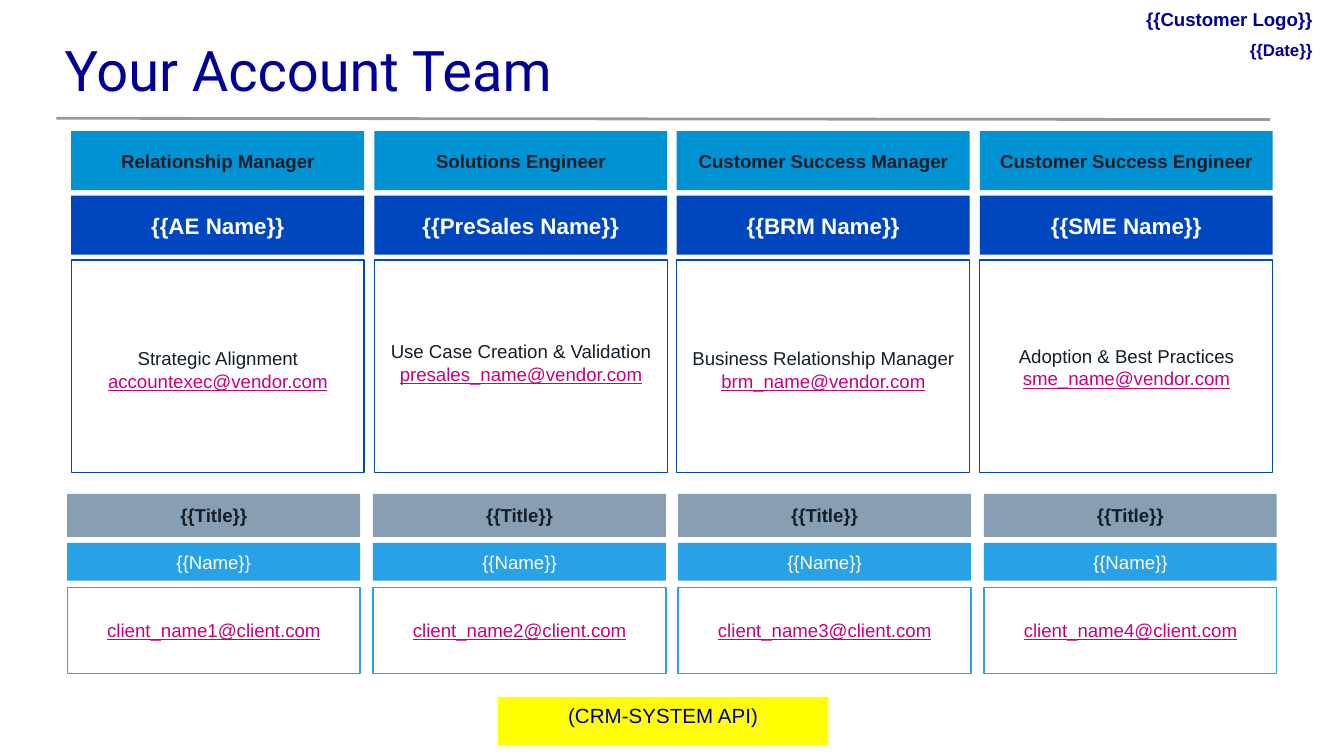
from dataclasses import dataclass

from pptx import Presentation
from pptx.dml.color import RGBColor
from pptx.enum.shapes import MSO_CONNECTOR, MSO_SHAPE
from pptx.enum.text import MSO_ANCHOR, MSO_AUTO_SIZE, PP_ALIGN
from pptx.oxml.ns import qn
from pptx.util import Emu, Pt

RECT = MSO_SHAPE.RECTANGLE
STRAIGHT = MSO_CONNECTOR.STRAIGHT
TOP, MIDDLE, BOTTOM = MSO_ANCHOR.TOP, MSO_ANCHOR.MIDDLE, MSO_ANCHOR.BOTTOM
LEFT, CENTER, RIGHT = PP_ALIGN.LEFT, PP_ALIGN.CENTER, PP_ALIGN.RIGHT
NO_FIT = MSO_AUTO_SIZE.NONE
EMU_PER_PX = 4572
CARD_W = 436


@dataclass(frozen=True)
class Theme:
    title_font: str = "Roboto"
    body_font: str = "Arial"
    navy: str = "000099"
    ink: str = "131E29"
    white: str = "FFFFFF"
    link: str = "C6007E"
    role: str = "0092D2"
    vendor: str = "0046BE"
    slate: str = "889EB3"
    client: str = "29A1E6"
    note: str = "FFFF00"
    rule: str = "999999"
    title_size: int = 30
    name_size: int = 12
    note_size: int = 11
    body_size: int = 10
    date_size: int = 9


T = Theme()

VENDOR_TEAM = [
    ("Relationship Manager", "{{AE Name}}", "Strategic Alignment",
     "accountexec@vendor.com", 120),
    ("Solutions Engineer", "{{PreSales Name}}", "Use Case Creation & Validation",
     "presales_name@vendor.com", 130),
    ("Customer Success Manager", "{{BRM Name}}", "Business Relationship Manager",
     "brm_name@vendor.com", 120),
    ("Customer Success Engineer", "{{SME Name}}", "Adoption & Best Practices",
     "sme_name@vendor.com", 123),
]
CLIENT_EMAILS = [f"client_name{i}@client.com" for i in range(1, 5)]


def px(n):
    return Emu(n * EMU_PER_PX)


def rgb(value):
    return RGBColor.from_string(value)


def set_attrs(obj, values):
    for name, value in values.items():
        setattr(obj, name, value)


def style(color, size=T.body_size, font=T.body_font, **extra):
    return {"color": color, "size": size, "name": font, **extra}


def write(sp, lines, align=CENTER, anchor=MIDDLE, insets=(20, 10, 20, 10), spacing=1.0):
    tf = sp.text_frame
    sides = ("margin_left", "margin_top", "margin_right", "margin_bottom")
    set_attrs(tf, {"word_wrap": True, "auto_size": NO_FIT, "vertical_anchor": anchor,
                   **dict(zip(sides, map(px, insets)))})
    for i, (text, fmt) in enumerate(lines):
        p = tf.add_paragraph() if i else tf.paragraphs[0]
        set_attrs(p, {"alignment": align, "line_spacing": spacing})
        r = p.add_run()
        r.text = text
        values = dict(fmt)
        r.font.color.rgb = rgb(values.pop("color"))
        values["size"] = Pt(values["size"])
        set_attrs(r.font, values)


def add_box(s, box, lines, fill=None, line=None, **layout):
    sp = s.shapes.add_shape(RECT, *map(px, box))
    sp.shadow.inherit = False
    if fill:
        sp.fill.solid()
        sp.fill.fore_color.rgb = rgb(fill)
    else:
        sp.fill.background()
    if line:
        sp.line.color.rgb = rgb(line)
        sp.line.width = Pt(0.75)
    else:
        sp.line.fill.background()
    write(sp, lines, **layout)


def add_label(s, box, text, size):
    sp = s.shapes.add_textbox(*map(px, box))
    write(sp, [(text, style(T.navy, size, bold=True))], align=RIGHT,
          insets=(8, 4, 8, 4), spacing=0.85)


def columns(box, items):
    x, y, w, h = box
    pitch = (w - CARD_W) / (len(items) - 1)
    return [(x + round(i * pitch), item) for i, item in enumerate(items)]


def add_header(s, box):
    x, y, w, h = box
    sp = s.shapes.title
    set_attrs(sp, dict(zip(("left", "top", "width", "height"), map(px, box))))
    write(sp, [("Your Account Team", style(T.navy, T.title_size, T.title_font))],
          align=LEFT, spacing=0.9)
    ends = (x + 8, y + h - 1, x + 1814, y + h + 1)
    rule = s.shapes.add_connector(STRAIGHT, *map(px, ends))
    rule.line.color.rgb = rgb(T.rule)
    rule.line.width = Pt(1.5)
    sp_pr = rule._element.spPr
    sp_pr.append(sp_pr.makeelement(qn("a:effectLst"), {}))


def add_corner(s, box):
    x, y, w, h = box
    add_label(s, (x, y, w, 52), "{{Customer Logo}}", T.body_size)
    add_label(s, (x + 64, y + h - 52, w - 64, 52), "{{Date}}", T.date_size)


def add_vendor_team(s, box):
    top, h = box[1], box[3]
    for x, (role, name, duty, email, bottom) in columns(box, VENDOR_TEAM):
        add_box(s, (x, top, CARD_W, 88),
                [(role, style(T.ink, bold=True))], fill=T.role)
        add_box(s, (x, top + 96, CARD_W, 88),
                [(name, style(T.white, T.name_size, bold=True))], fill=T.vendor)
        add_box(s, (x, top + 192, CARD_W, h - 192),
                [(duty, style(T.ink)), (email, style(T.link, underline=True))],
                line=T.vendor, anchor=BOTTOM, insets=(20, 20, 20, bottom))


def add_client_team(s, box):
    top, h = box[1], box[3]
    for x, email in columns(box, CLIENT_EMAILS):
        add_box(s, (x, top, CARD_W, 64),
                [("{{Title}}", style(T.ink, bold=True))], fill=T.slate)
        add_box(s, (x, top + 73, CARD_W, 56),
                [("{{Name}}", style(T.white))], fill=T.client)
        add_box(s, (x, top + 139, CARD_W, h - 139),
                [(email, style(T.link, underline=True))],
                line=T.client, insets=(20, 20, 20, 20))


def add_note(s, box):
    add_box(s, box, [("(CRM-SYSTEM API)", style(T.navy, T.note_size))], fill=T.note,
            anchor=TOP, insets=(20, 15, 20, 20), spacing=0.85)


def main():
    prs = Presentation()
    set_attrs(prs, {"slide_width": px(2000), "slide_height": px(1125)})
    s = prs.slides.add_slide(prs.slide_layouts[5])
    add_header(s, (76, 41, 1840, 136))
    add_vendor_team(s, (106, 195, 1788, 508))
    add_client_team(s, (100, 735, 1800, 267))
    add_note(s, (741, 1037, 492, 72))
    add_corner(s, (1633, 5, 328, 98))
    prs.save("out.pptx")


if __name__ == "__main__":
    main()
